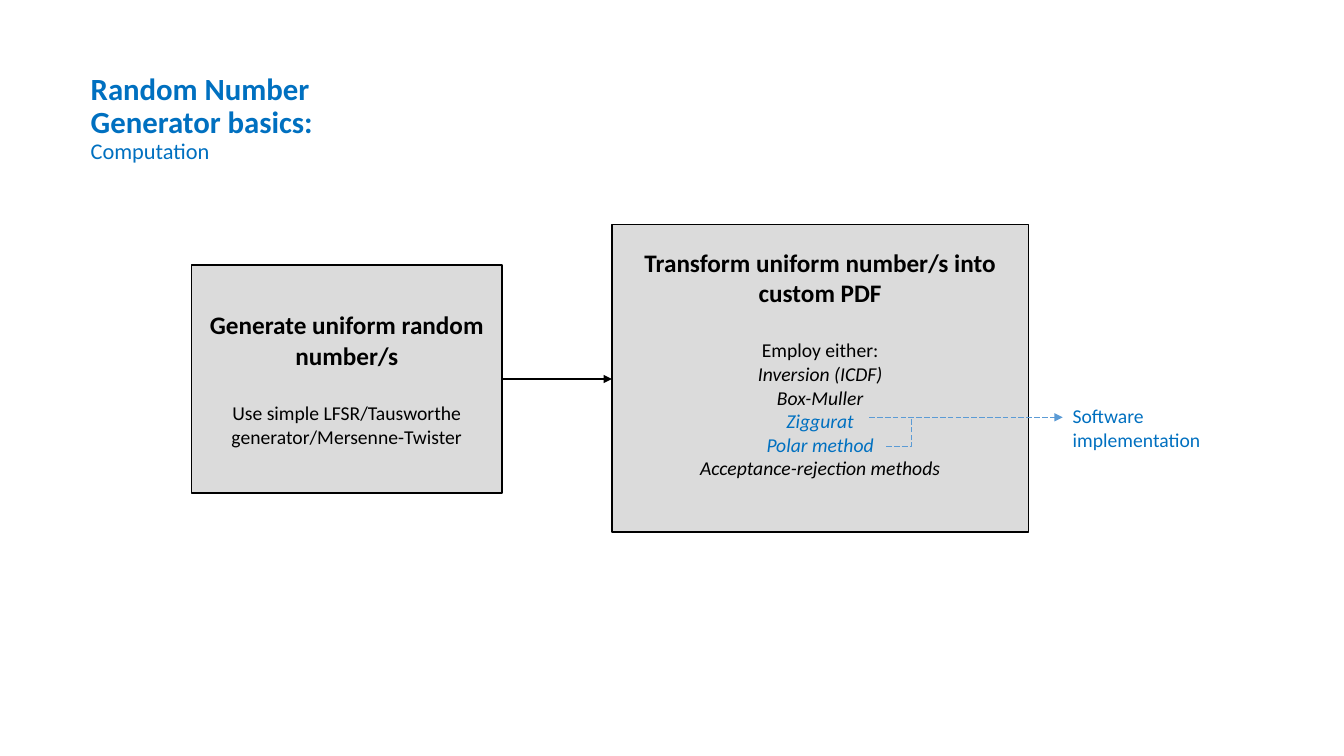
"""Build a slide on the computation steps of a random number generator."""
from lxml.etree import SubElement
from pptx import Presentation
from pptx.dml.color import RGBColor
from pptx.enum.dml import MSO_LINE_DASH_STYLE as Dash
from pptx.enum.shapes import MSO_CONNECTOR_TYPE as Connector, MSO_SHAPE as Shape
from pptx.enum.text import MSO_ANCHOR as Anchor, MSO_AUTO_SIZE as AutoSize, PP_ALIGN as Align
from pptx.oxml.ns import qn
from pptx.util import Inches, Pt


def color(hex_string):
    return RGBColor.from_string(hex_string)


class SlideBuilder:
    FONT = "Calibri"
    BLACK, BLUE, LIGHT_BLUE, GRAY = "000000", "0070C0", "5B9BD5", "DBDBDB"

    def __init__(self, presentation):
        self.slide = presentation.slides.add_slide(presentation.slide_layouts[5])

    def format(self, paragraph, size, hex_string, bold=False, italic=False, align=Align.LEFT):
        paragraph.alignment = align
        for run in paragraph.runs:
            font = run.font
            font.name, font.size = self.FONT, Pt(size)
            font.bold, font.italic = bold, italic
            font.color.rgb = color(hex_string)

    def title(self, heading, subheading, left, top, width, height):
        shape = self.slide.shapes.title
        shape.left, shape.top = Inches(left), Inches(top)
        shape.width, shape.height = Inches(width), Inches(height)
        frame = shape.text_frame
        frame.text = f"{heading}\n{subheading}"
        frame.word_wrap = True
        frame.auto_size = AutoSize.NONE
        frame.vertical_anchor = Anchor.TOP
        for paragraph, size, bold in zip(frame.paragraphs, (22, 16), (True, False)):
            self.format(paragraph, size, self.BLUE, bold)
            paragraph.line_spacing = 0.9

    def step(self, heading, details, left, top, width, height, bottom_margin=0.05):
        shape = self.slide.shapes.add_shape(
            Shape.RECTANGLE, Inches(left), Inches(top), Inches(width), Inches(height))
        shape.shadow.inherit = False
        shape.fill.solid()
        shape.fill.fore_color.rgb = color(self.GRAY)
        shape.line.color.rgb = color(self.BLACK)
        shape.line.width = Pt(1)
        frame = shape.text_frame
        frame.text = "\n".join([heading] + [text for text, _, _ in details])
        frame.word_wrap = True
        frame.vertical_anchor = Anchor.MIDDLE
        frame.margin_bottom = Inches(bottom_margin)
        first, *others = frame.paragraphs
        self.format(first, 18, self.BLACK, bold=True, align=Align.CENTER)
        for paragraph, (_, hex_string, italic) in zip(others, details):
            self.format(paragraph, 14, hex_string, italic=italic, align=Align.CENTER)
        others[0].space_before = Pt(22)

    def label(self, text, left, top, width, height):
        shape = self.slide.shapes.add_textbox(
            Inches(left), Inches(top), Inches(width), Inches(height))
        frame = shape.text_frame
        frame.text = text
        frame.word_wrap = True
        self.format(frame.paragraphs[0], 14, self.BLUE)

    def connector(self, start, end, hex_string, width, dashed=False, arrow=True, elbow=False):
        kind = Connector.ELBOW if elbow else Connector.STRAIGHT
        line = self.slide.shapes.add_connector(kind, *map(Inches, start + end))
        line.line.color.rgb = color(hex_string)
        line.line.width = Pt(width)
        if dashed:
            line.line.dash_style = Dash.LONG_DASH
        properties = line._element.spPr
        if arrow:
            SubElement(properties.find(qn("a:ln")), qn("a:tailEnd"), type="triangle")
        if elbow:
            guides = properties.find(qn("a:prstGeom")).get_or_add_avLst()
            SubElement(guides, qn("a:gd"), name="adj1", fmla="val 100000")
        SubElement(properties, qn("a:effectLst"))


def main():
    presentation = Presentation()
    presentation.slide_width, presentation.slide_height = Inches(13.33), Inches(7.5)
    builder = SlideBuilder(presentation)
    black, blue, light_blue = builder.BLACK, builder.BLUE, builder.LIGHT_BLUE

    builder.title("Random Number Generator basics:", "Computation", 0.8, 0.68, 3.4, 0.67)
    builder.step(
        "Generate uniform random number/s",
        [("Use simple LFSR/Tausworthe generator/Mersenne-Twister", black, False)],
        1.9, 2.63, 3.08, 2.26)
    builder.step(
        "Transform uniform number/s into custom PDF",
        [("Employ either:", black, False),
         ("Inversion (ICDF)", black, True),
         ("Box-Muller", black, True),
         ("Ziggurat", blue, True),
         ("Polar method", blue, True),
         ("Acceptance-rejection methods", black, True)],
        6.07, 2.23, 4.13, 3.05, bottom_margin=0.35)
    builder.connector((4.98, 3.76), (6.07, 3.76), black, 1)
    builder.label("Software implementation", 10.54, 3.96, 1.49, 0.57)
    builder.connector((8.62, 4.14), (10.54, 4.14), light_blue, 0.5, dashed=True)
    builder.connector((8.79, 4.43), (9.04, 4.14), light_blue, 0.5,
                      dashed=True, arrow=False, elbow=True)
    presentation.save("out.pptx")


if __name__ == "__main__":
    main()
